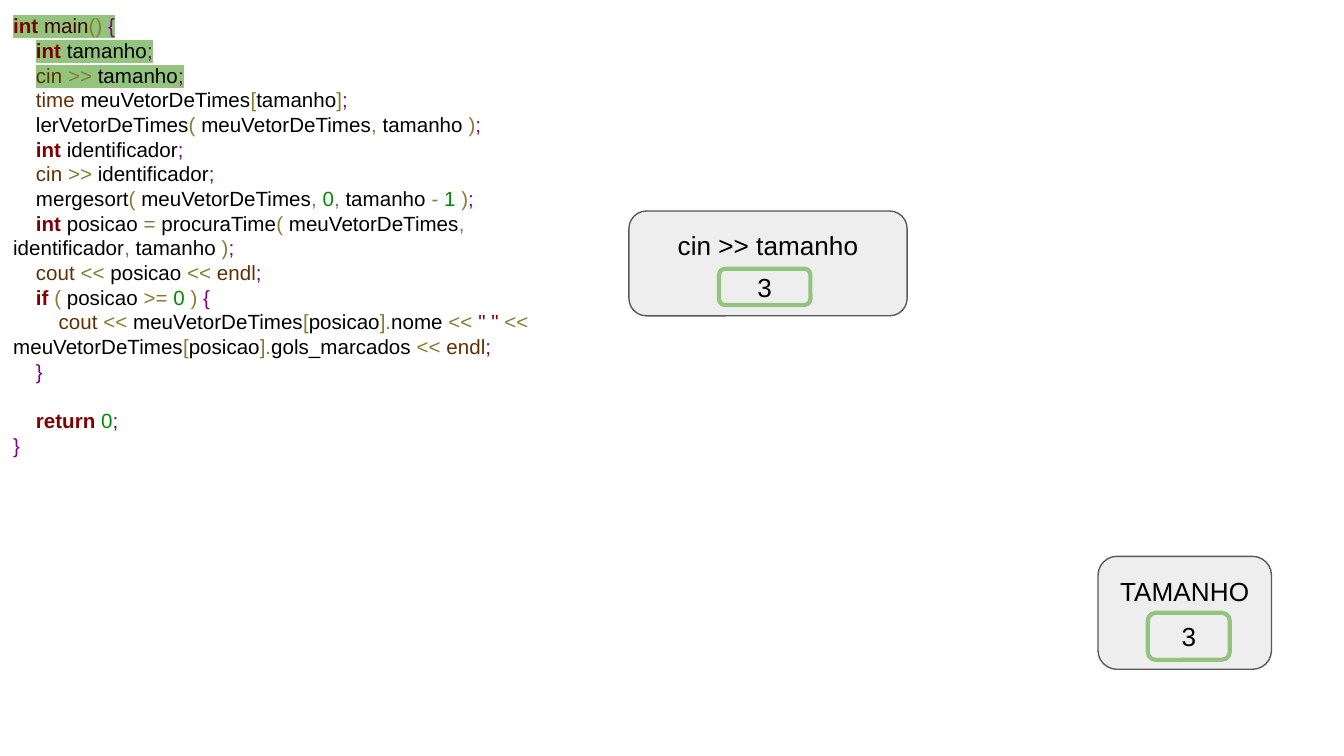
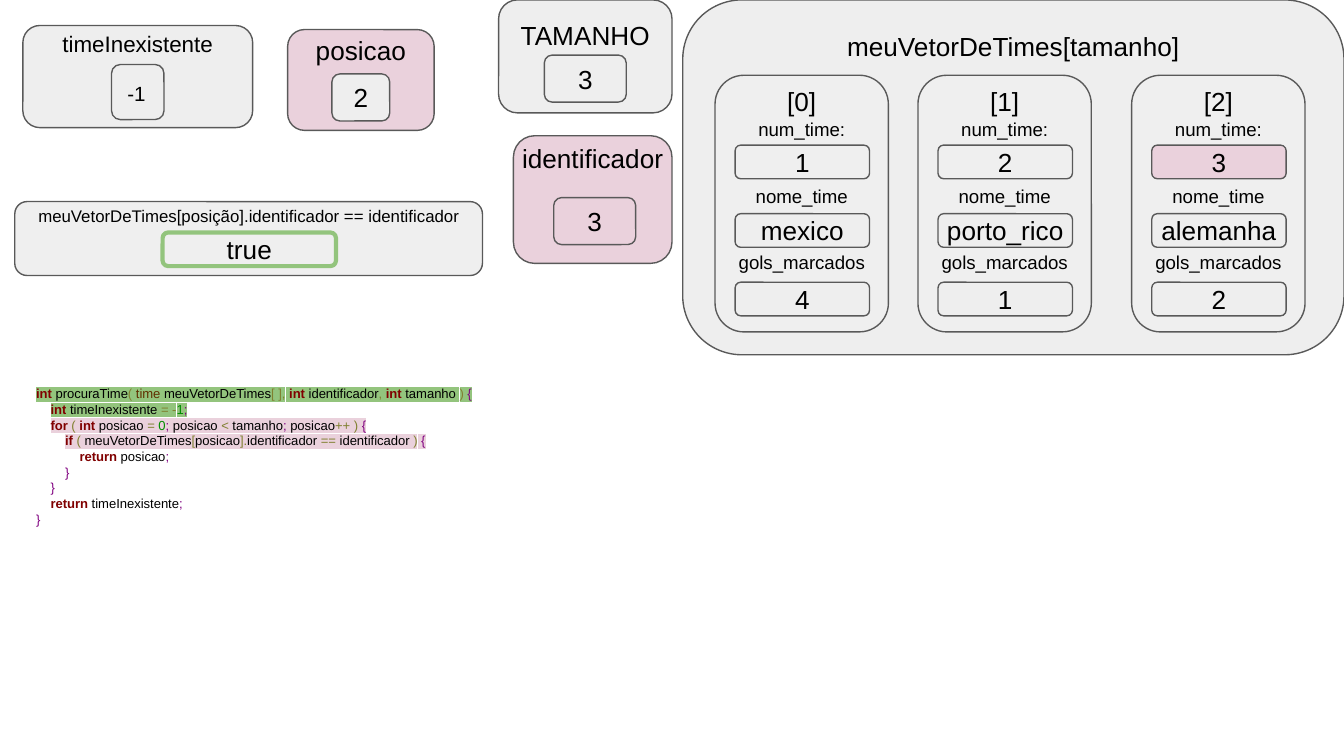
from dataclasses import dataclass
from itertools import groupby

from lxml import etree
from pptx import Presentation
from pptx import util as u
from pptx.dml.color import RGBColor
from pptx.enum import shapes, text
from pptx.oxml.ns import qn


@dataclass(frozen=True)
class Theme:
    """Colours, type sizes and the font of the deck."""
    font: str = "Arial"
    ink: str = "000000"
    gray: str = "EEEEEE"
    mist: str = "EFEFEF"
    pink: str = "EAD1DC"
    green: str = "93C47D"
    edge: str = "595959"
    key: str = "800000"
    lib: str = "603000"
    entry: str = "400000"
    num: str = "008C00"
    mark: str = "800080"
    op: str = "808030"
    thin: float = 0.75
    thick: float = 2.25
    big: int = 14
    mid: int = 12
    code: int = 11
    small: int = 10
    note: int = 9
    tiny: int = 7
    lead: float = 1.2


T = Theme()
WIDE, HIGH = u.Inches(10), u.Inches(5.625)
CELL = WIDE / 100
PAD, FLAT, NONE = (1, 1, 1, 1), (1, 0, 1, 1), (0, 0, 0, 0)
TOP, MID = text.MSO_ANCHOR.TOP, text.MSO_ANCHOR.MIDDLE
LEFT, CENTER = text.PP_ALIGN.LEFT, text.PP_ALIGN.CENTER

WORDS = {w: T.key for w in ("int", "if", "for", "return")}
WORDS.update({w: T.lib for w in ("cin", "cout", "endl", "time")})
WORDS["main"] = T.entry
BOLD = {"int", "if", "for", "return"}

MAIN = [
    (0, "int main() {", T.green),
    (1, "int tamanho;", T.green),
    (1, "cin >> tamanho;", T.green),
    (1, "time meuVetorDeTimes[tamanho];", None),
    (1, "lerVetorDeTimes( meuVetorDeTimes, tamanho );", None),
    (1, "int identificador;", None),
    (1, "cin >> identificador;", None),
    (1, "mergesort( meuVetorDeTimes, 0, tamanho - 1 );", None),
    (1, "int posicao = procuraTime( meuVetorDeTimes, identificador, tamanho );", None),
    (1, "cout << posicao << endl;", None),
    (1, "if ( posicao >= 0 ) {", None),
    (2, 'cout << meuVetorDeTimes[posicao].nome << " " << '
        "meuVetorDeTimes[posicao].gols_marcados << endl;", None),
    (1, "}", None),
    (1, "return 0;", None),
    (0, "}", None),
]
SEARCH = [
    (0, "int procuraTime( time meuVetorDeTimes[ ], int identificador, int tamanho ) {", T.green),
    (1, "int timeInexistente = -1;", T.green),
    (1, "for ( int posicao = 0; posicao < tamanho; posicao++ ) {", T.pink),
    (2, "if ( meuVetorDeTimes[posicao].identificador == identificador ) {", T.pink),
    (3, "return posicao;", None),
    (2, "}", None),
    (1, "}", None),
    (1, "return timeInexistente;", None),
    (0, "}", None),
]
TEAMS = [
    (2.4, ("1", "mexico", "4"), T.mist),
    (17.5, ("2", "porto_rico", "1"), T.mist),
    (33.4, ("3", "alemanha", "2"), T.pink),
]


def rgb(tint):
    """Turn a hex string into a colour."""
    return RGBColor.from_string(tint)


def grid(box):
    """Turn columns and rows into slide lengths."""
    return [round(n * CELL) for n in box]


def inside(box, part):
    """Place a part relative to the corner of its box."""
    return box[0] + part[0], box[1] + part[1], part[2], part[3]


def style(para, size, align=LEFT):
    """Set the font and alignment of a paragraph."""
    para.alignment = align
    para.font.name, para.font.size = T.font, u.Pt(size)
    para.font.color.rgb = rgb(T.ink)


def inset(frame, pad):
    """Wrap a text frame and set its margins."""
    frame.word_wrap = True
    (frame.margin_left, frame.margin_top,
     frame.margin_right, frame.margin_bottom) = grid(pad)


def panel(slide, box, label, size=T.big, fill=T.gray, pad=PAD,
          anchor=TOP, align=CENTER, hot=False):
    """Draw a rounded box with one line of text."""
    shape = slide.shapes.add_shape(shapes.MSO_SHAPE.ROUNDED_RECTANGLE, *grid(box))
    shape.shadow.inherit = False
    shape.fill.solid()
    shape.fill.fore_color.rgb = rgb(fill)
    shape.line.color.rgb = rgb(T.green if hot else T.edge)
    shape.line.width = u.Pt(T.thick if hot else T.thin)
    frame = shape.text_frame
    inset(frame, pad)
    frame.vertical_anchor = anchor
    para = frame.paragraphs[0]
    para.text = label
    style(para, size, align)
    return frame


def holder(slide, box, name, part, value, hot=False, fill=T.gray, core=T.gray,
           size=T.big, pad=PAD):
    """Draw a named variable with its value inside."""
    panel(slide, box, name, size, fill, pad)
    panel(slide, inside(box, part), value, fill=core, pad=NONE, anchor=MID, hot=hot)


def kind(char):
    """Name the lexical class of a character."""
    if char.isalnum() or char == "_":
        return "word"
    if char == " ":
        return "gap"
    return {";": "mark", "{": "mark", "}": "mark", '"': "quote"}.get(char, "op")


def tint(sort, token):
    """Choose the colour of a token."""
    if sort == "word":
        return T.num if token.isdigit() else WORDS.get(token, T.ink)
    return {"gap": T.ink, "mark": T.mark, "quote": T.key, "op": T.op}[sort]


def tokens(line):
    """Split a code line into runs of text, colour and weight."""
    parts = [(sort, "".join(chars)) for sort, chars in groupby(line, kind)]
    looks = [(tint(*part), part[1] in BOLD, part[1]) for part in parts]
    for look, group in groupby(looks, lambda part: part[:2]):
        yield "".join(part[2] for part in group), *look


def shade(run, color):
    """Highlight a run."""
    mark = etree.SubElement(run.font._element, qn("a:highlight"))
    etree.SubElement(mark, qn("a:srgbClr")).set("val", color)


def listing(slide, box, lines, size, gap=None):
    """Write coloured code, with a line of space before one row."""
    frame = slide.shapes.add_textbox(*grid(box)).text_frame
    inset(frame, PAD)
    frame.auto_size = text.MSO_AUTO_SIZE.SHAPE_TO_FIT_TEXT
    for row, (level, line, back) in enumerate(lines):
        para = frame.add_paragraph() if row else frame.paragraphs[0]
        style(para, size)
        para.line_spacing = u.Pt(size * T.lead)
        if row == gap:
            para.space_before = u.Pt(size * T.lead)
        props = para._p.get_or_add_pPr()
        props.set("marL", "0")
        props.set("indent", str(round(level * size * u.Pt(1.11))))
        for word, color, bold in tokens(line):
            run = para.add_run()
            run.text = word
            run.font.bold = bold
            run.font.color.rgb = rgb(color)
            if back:
                shade(run, back)


def record(slide, box, index, values, first):
    """Draw one team with its three labelled fields."""
    frame = panel(slide, box, f"[{index}]", fill=T.mist, pad=(1, 0.5, 1, 0.5))
    frame.paragraphs[0].line_spacing = u.Pt(T.big)
    for label, gap in (("num_time:", 1), ("nome_time", 23.5), ("gols_marcados", 23.5)):
        para = frame.add_paragraph()
        para.text = label
        style(para, T.small, CENTER)
        para.line_spacing = u.Pt(T.small * T.lead)
        para.space_before = u.Pt(gap)
    for row, value in enumerate(values):
        part = (1.5, 5.2 + 5.1 * row, 10, 2.5)
        panel(slide, inside(box, part), value, fill=T.gray if row else first,
              pad=NONE, anchor=MID)


def vector(slide, box):
    """Draw the array of teams."""
    panel(slide, box, "meuVetorDeTimes[tamanho]")
    for index, (left, values, first) in enumerate(TEAMS):
        record(slide, inside(box, (left, 5.6, 12.9, 19.1)), index, values, first)


def reading(slide):
    """Build the slide that reads the size."""
    listing(slide, (0, 0, 40.7, 37.2), MAIN, T.code, gap=13)
    holder(slide, (81.7, 41.4, 12.9, 8.4), "TAMANHO", (3.7, 4.2, 6.1, 3.5), "3", hot=True)
    holder(slide, (46.8, 15.7, 20.7, 7.8), "cin >> tamanho", (6.7, 4.3, 6.8, 2.7), "3",
           hot=True)


def seeking(slide):
    """Build the slide that searches for the team."""
    holder(slide, (37.1, 0, 12.9, 8.4), "TAMANHO", (3.4, 4.1, 6.1, 3.5), "3")
    listing(slide, (1.7, 27.7, 42.8, 15.8), SEARCH, T.tiny)
    holder(slide, (38.2, 10.1, 11.8, 9.5), "identificador", (3, 4.6, 6.1, 3.5), "3",
           fill=T.pink, core=T.pink, pad=NONE)
    absent = (1.7, 1.9, 17.1, 7.6)
    panel(slide, absent, "timeInexistente", T.mid, pad=FLAT)
    panel(slide, inside(absent, (6.6, 2.9, 3.9, 4.1)), "-1", T.code, align=LEFT)
    holder(slide, (21.4, 2.2, 10.9, 7.5), "posicao", (3.3, 3.3, 4.3, 3.5), "2",
           fill=T.pink, pad=FLAT)
    vector(slide, (50.8, 0, 49.2, 26.4))
    holder(slide, (1.1, 15, 34.8, 5.5),
           "meuVetorDeTimes[posição].identificador == identificador",
           (11, 2.3, 12.9, 2.5), "true", hot=True, fill=T.mist, core=T.mist,
           size=T.note, pad=(0, 0, 0, 1))


deck = Presentation()
deck.slide_width, deck.slide_height = WIDE, HIGH
for build in (reading, seeking):
    build(deck.slides.add_slide(deck.slide_layouts[6]))
deck.save("out.pptx")
